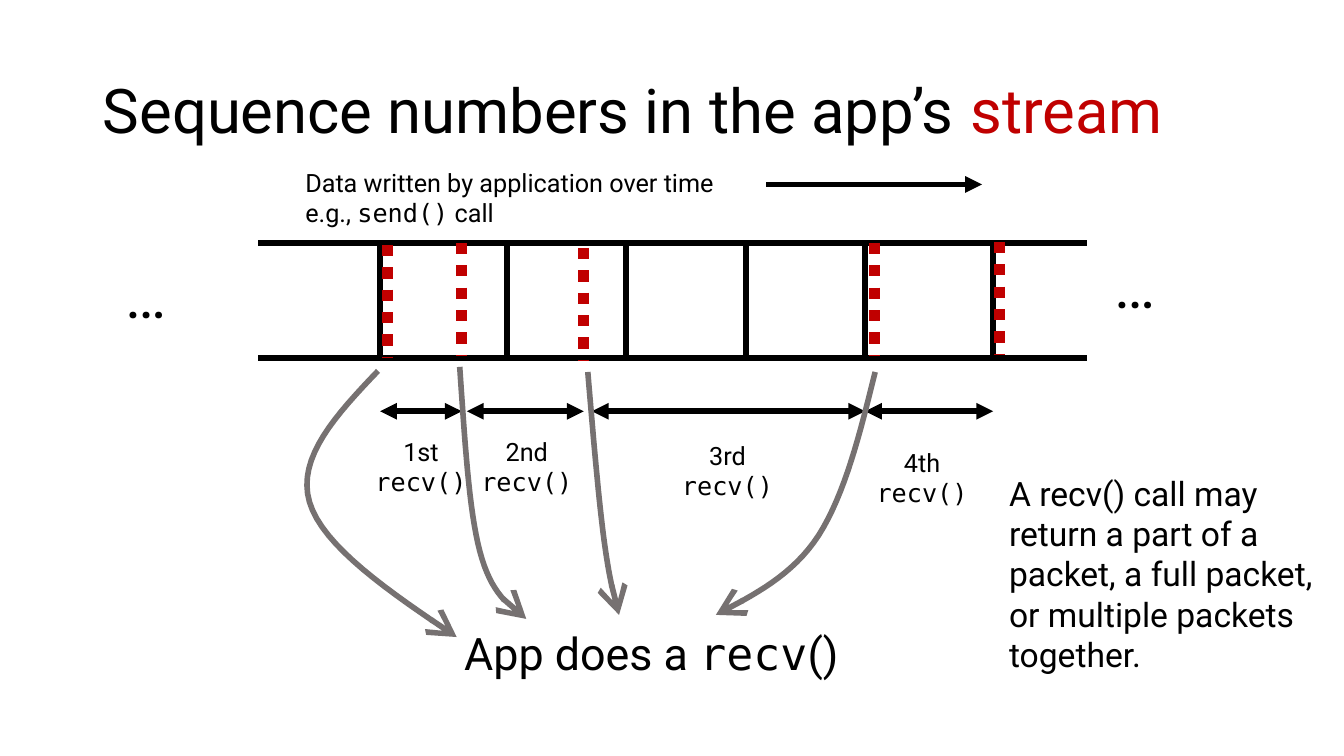
"""Build the slide on sequence numbers in an app's stream."""
from dataclasses import dataclass
from lxml import etree
from pptx import Presentation, util as u
from pptx.dml.color import RGBColor
from pptx.enum import dml, shapes, text
from pptx.oxml import ns


@dataclass(frozen=True)
class Theme:
    ink: str = "000000"
    red: str = "C00000"
    gray: str = "767171"
    sans: str = "Roboto"
    mono: str = "DejaVu Sans Mono"
    head: int = 44
    call: int = 32
    note: int = 24
    small: int = 18
    rule: int = 4
    dash: int = 8


T = Theme()
WIDE, HIGH = 13.33, 7.5
MONO, RED = {"font": T.mono}, {"color": T.red}

TITLE = [["Sequence numbers in the app’s ", ("stream", RED)]]
INTRO = [["Data written by application over time"],
         ["e.g., ", ("send()", MONO), " call"]]
CALL = [["App does a ", ("recv", MONO), "()"]]
NOTE = [["A recv() call may return a part of a packet, a full packet, "
         "or multiple packets together."]]
DOTS = [(1.15, 2.5), (10.96, 2.4)]

LEFT, RIGHT, TOP, BASE = 2.56, 10.78, 2.41, 3.55
WALLS = [3.77, 5.03, 6.21, 7.4, 8.58, 9.85]
MARKS = [(3.84, 2.43), (4.58, 2.41), (5.79, 2.46), (8.67, 2.41), (9.91, 2.4)]
MARK = 1.12
SPAN = 4.08
READS = [("1st ", 3.77, 4.58, 3.58, 4.28), ("2nd ", 4.63, 5.79, 4.63, 4.28),
         ("3rd ", 5.87, 8.58, 6.62, 4.32), ("4th ", 8.58, 9.85, 8.55, 4.39)]
CURVES = [
    [(3.75, 3.68), (3.34, 4.11), (2.94, 4.54), (3.07, 4.98),
     (3.2, 5.42), (3.86, 5.87), (4.53, 6.32)],
    [(4.56, 3.64), (4.61, 4.35), (4.65, 5.06), (4.76, 5.47),
     (4.87, 5.89), (5.05, 6.01), (5.22, 6.14)],
    [(5.83, 3.69), (5.88, 4.28), (5.93, 4.87), (5.98, 5.27),
     (6.03, 5.67), (6.08, 5.89), (6.14, 6.1)],
    [(8.68, 3.69), (8.53, 4.3), (8.38, 4.9), (8.12, 5.31),
     (7.86, 5.71), (7.48, 5.9), (7.1, 6.1)],
]
STEPS = 16

deck = Presentation()
deck.slide_width, deck.slide_height = u.Inches(WIDE), u.Inches(HIGH)
slide = deck.slides.add_slide(deck.slide_layouts[5])


def write(lines, box, size=T.small, align=text.PP_ALIGN.LEFT,
          anchor=text.MSO_ANCHOR.TOP, space=None, shape=None):
    """Put lines of runs in a box; a run is text or (text, format)."""
    place = [u.Inches(n) for n in box]
    shape = shape or slide.shapes.add_textbox(*place)
    shape.left, shape.top, shape.width, shape.height = place
    frame = shape.text_frame
    frame.word_wrap, frame.auto_size = True, text.MSO_AUTO_SIZE.NONE
    frame.vertical_anchor = anchor
    for i, line in enumerate(lines):
        para = frame.add_paragraph() if i else frame.paragraphs[0]
        para.alignment, para.line_spacing = align, space
        for part in line:
            words, form = (part, {}) if isinstance(part, str) else part
            run = para.add_run()
            run.text = words
            run.font.size = u.Pt(size)
            run.font.name = form.get("font", T.sans)
            run.font.color.rgb = RGBColor.from_string(form.get("color", T.ink))


def stroke(shape, color=T.ink, width=T.rule, dash=None, head=None, tail=None,
           tip="med"):
    """Set the line of a shape and its arrowheads."""
    shape.line.color.rgb = RGBColor.from_string(color)
    shape.line.width = u.Pt(width)
    if dash:
        shape.line.dash_style = dash
    ln = shape._element.spPr.find(ns.qn("a:ln"))
    for tag, kind in (("a:headEnd", head), ("a:tailEnd", tail)):
        if kind:
            etree.SubElement(ln, ns.qn(tag), type=kind, w=tip, len=tip)


def rule(x1, y1, x2, y2, **form):
    """Draw a straight line."""
    ends = [u.Inches(n) for n in (x1, y1, x2, y2)]
    line = slide.shapes.add_connector(shapes.MSO_CONNECTOR.STRAIGHT, *ends)
    stroke(line, **form)
    etree.SubElement(line._element.spPr, ns.qn("a:effectLst"))


def bezier(a, b, c, d):
    """Return points along a cubic curve, without its start."""
    for i in range(1, STEPS + 1):
        t = i / STEPS
        s = 1 - t
        yield tuple(s**3 * p + 3 * s * s * t * q + 3 * s * t * t * r + t**3 * e
                    for p, q, r, e in zip(a, b, c, d))


def curve(knots):
    """Draw an open curve with an arrow at its end."""
    knots = [(u.Inches(x), u.Inches(y)) for x, y in knots]
    pen = slide.shapes.build_freeform(*knots[0])
    for i in range(0, len(knots) - 1, 3):
        pen.add_line_segments(bezier(*knots[i:i + 4]), close=False)
    shape = pen.convert_to_shape()
    shape.shadow.inherit = False
    shape.fill.background()
    stroke(shape, color=T.gray, tail="arrow", tip="lg")


def main():
    """Draw every part and save the deck."""
    mid = text.PP_ALIGN.CENTER
    write(TITLE, (0.92, 0.4, 11.5, 1.45), size=T.head, space=0.9,
          anchor=text.MSO_ANCHOR.MIDDLE, shape=slide.shapes.title)
    for y in (TOP, BASE):
        rule(LEFT, y, RIGHT, y)
    for x in WALLS:
        rule(x, TOP, x, BASE)
    for x, y in DOTS:
        write([["…"]], (x, y, 1.22, 0.84), size=T.head)
    write(INTRO, (2.93, 1.61, 5.76, 1.01))
    rule(7.6, 1.83, 9.74, 1.83, tail="triangle")
    write(CALL, (4.17, 6.16, 4.58, 0.64), size=T.call, align=mid)
    for x, y in MARKS:
        rule(x, y, x, y + MARK, color=T.red, width=T.dash,
             dash=dml.MSO_LINE.ROUND_DOT)
    for name, x1, x2, x, y in READS:
        rule(x1, SPAN, x2, SPAN, head="triangle", tail="triangle")
        write([[name, ("recv()", MONO)]], (x, y, 1.19, 0.71), align=mid)
    for knots in CURVES:
        curve(knots)
    write(NOTE, (9.91, 4.64, 3.4, 2.12), size=T.note)
    deck.save("out.pptx")


if __name__ == "__main__":
    main()
